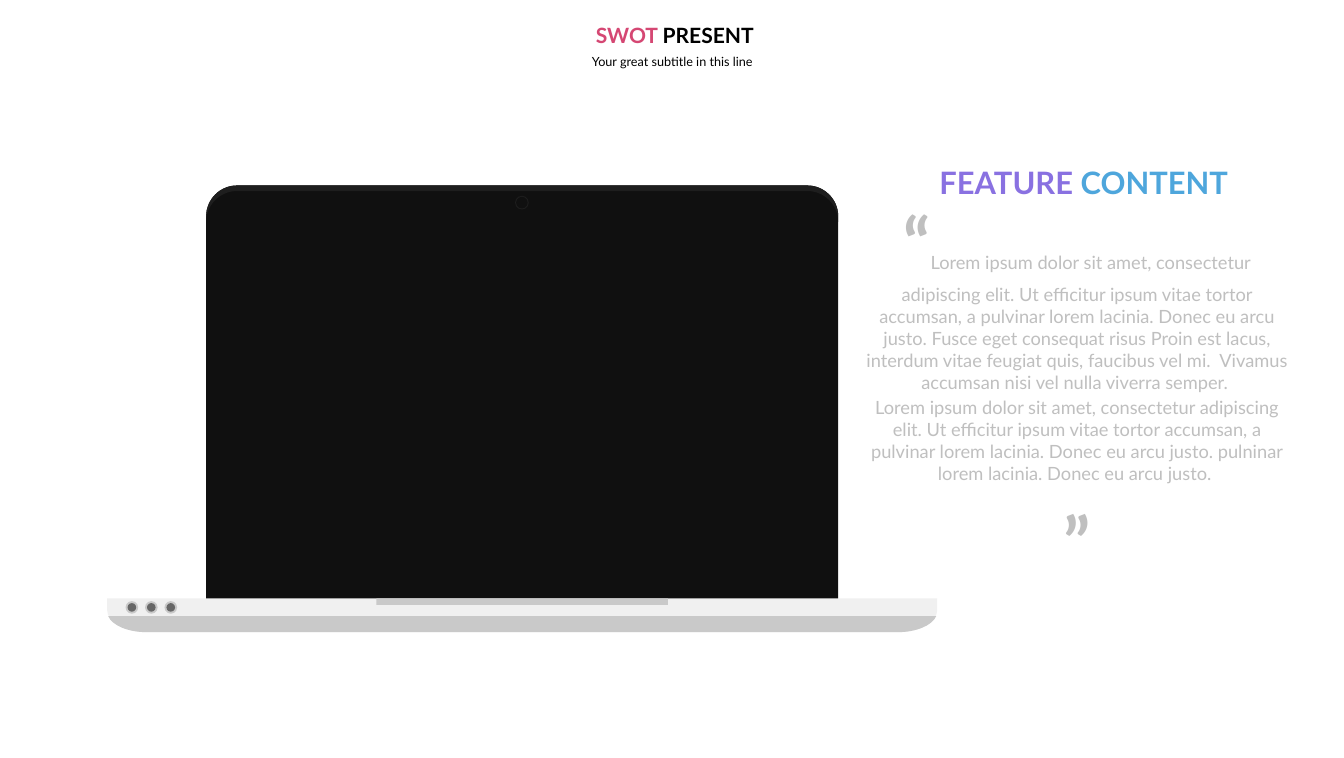
from dataclasses import dataclass

from lxml import etree
from pptx import Presentation
from pptx import util as u
from pptx.dml import color
from pptx.enum import shapes, text
from pptx.oxml import ns

Point = tuple[float, float]
Step = list[Point]


@dataclass(frozen=True)
class Theme:
    font: str = "Lato"
    screen: str = "101010"
    edge: str = "1E1E1E"
    base: str = "F0F0F0"
    shade: str = "C9C9C9"
    button: str = "676767"
    quote: str = "BFBFBF"
    black: str = "000000"
    pink: str = "D54773"
    purple: str = "8971E1"
    blue: str = "4EA6DC"
    mark_size: int = 100
    heading_size: int = 44
    title_size: int = 30
    body_size: int = 26
    subtitle_size: int = 18


@dataclass(frozen=True)
class Span:
    words: str
    size: int
    colour: str
    bold: bool = False


@dataclass(frozen=True)
class TextBlock:
    left: float
    top: float
    width: float
    height: float
    inset_x: float
    inset_y: float
    paras: list[list[Span]]
    before_percent: int = 0
    grows: bool = True


@dataclass(frozen=True)
class Disc:
    x: float
    y: float
    outer: float
    inner: float
    rim: str
    centre: str


THEME = Theme()


def paint(shape, colour: str) -> None:
    shape.shadow.inherit = False
    shape.fill.solid()
    shape.fill.fore_color.rgb = color.RGBColor.from_string(colour)
    shape.line.fill.background()


def add_preset(parent, kind, left: float, top: float, width: float, height: float,
               colour: str) -> None:
    paint(parent.shapes.add_shape(kind, u.Inches(left), u.Inches(top),
                                  u.Inches(width), u.Inches(height)), colour)


def add_outline(parent, start: Point, steps: list[Step], colour: str) -> None:
    points = [(u.Inches(x), u.Inches(y)) for step in steps for x, y in step]
    builder = parent.shapes.build_freeform(u.Inches(start[0]), u.Inches(start[1]))
    builder.add_line_segments(points, close=True)
    shape = builder.convert_to_shape()
    lines = iter(list(shape._element.iter(ns.qn("a:lnTo"))))
    for step in steps:
        segments = [next(lines) for _ in step]
        if len(step) == 3:
            curve = etree.Element(ns.qn("a:cubicBezTo"))
            segments[0].addprevious(curve)
            for segment in segments:
                curve.append(segment[0])
                segment.getparent().remove(segment)
    paint(shape, colour)


def corner(start: Point, tip: Point, end: Point) -> Step:
    def toward_tip(point: Point) -> Point:
        return (point[0] + 0.55 * (tip[0] - point[0]), point[1] + 0.55 * (tip[1] - point[1]))

    return [toward_tip(start), toward_tip(tip and end), end]


def add_disc(parent, disc: Disc) -> None:
    for size, colour in ((disc.outer, disc.rim), (disc.inner, disc.centre)):
        add_preset(parent, shapes.MSO_SHAPE.OVAL, disc.x - size / 2, disc.y - size / 2,
                   size, size, colour)


def add_text(parent, block: TextBlock) -> None:
    box = parent.shapes.add_textbox(u.Inches(block.left), u.Inches(block.top),
                                    u.Inches(block.width), u.Inches(block.height))
    frame = box.text_frame
    frame.word_wrap = True
    fit = text.MSO_AUTO_SIZE
    frame.auto_size = fit.SHAPE_TO_FIT_TEXT if block.grows else fit.NONE
    frame.margin_left = frame.margin_right = u.Inches(block.inset_x)
    frame.margin_top = frame.margin_bottom = u.Inches(block.inset_y)
    for index, spans in enumerate(block.paras):
        para = frame.add_paragraph() if index else frame.paragraphs[0]
        para.alignment = text.PP_ALIGN.CENTER
        if block.before_percent:
            before = etree.SubElement(para._p.get_or_add_pPr(), ns.qn("a:spcBef"))
            etree.SubElement(before, ns.qn("a:spcPct"), val=str(block.before_percent * 1000))
        for span in spans:
            run = para.add_run()
            run.text = span.words
            run.font.name = THEME.font
            run.font.size = u.Pt(span.size)
            run.font.bold = span.bold
            run.font.color.rgb = color.RGBColor.from_string(span.colour)


def draw_screen(laptop) -> None:
    left, right, top, bottom, radius, rim = 4.08, 16.59, 3.67, 12.28, 0.61, 0.11

    def rounded_top(y: float) -> list[Step]:
        return [corner((left, y + radius), (left, y), (left + radius, y)),
                [(right - radius, y)],
                corner((right - radius, y), (right, y), (right, y + radius))]

    def rounded_top_back(y: float) -> list[Step]:
        return [corner((right, y + radius), (right, y), (right - radius, y)),
                [(left + radius, y)],
                corner((left + radius, y), (left, y), (left, y + radius))]

    shoulder = (left, top + radius)
    add_outline(laptop, shoulder, rounded_top(top) + [[(right, bottom)], [(left, bottom)]],
                THEME.screen)
    add_outline(laptop, shoulder, rounded_top(top) + [[(right, top + radius + rim)]]
                + rounded_top_back(top + rim), THEME.edge)


def draw_base(laptop) -> None:
    left, right, top, bend, bottom, reach = 2.12, 18.55, 11.84, 12.07, 12.51, 0.79
    fold, inset = 12.19, 0.02
    add_outline(laptop, (left, top), [
        [(left, bend)],
        corner((left, bend), (left, bottom), (left + reach, bottom)),
        [(right - reach, bottom)],
        corner((right - reach, bottom), (right, bottom), (right, bend)),
        [(right, top)],
    ], THEME.base)
    add_outline(laptop, (left + inset, fold), [
        [(left + 0.1, 12.38), (left + 0.42, bottom), (left + reach, bottom)],
        [(right - reach, bottom)],
        [(right - 0.42, bottom), (right - 0.1, 12.38), (right - inset, fold)],
    ], THEME.shade)


def draw_laptop(page) -> None:
    laptop = page.shapes.add_group_shape()
    draw_screen(laptop)
    draw_base(laptop)
    add_disc(laptop, Disc(10.33, 4.01, 0.27, 0.23, THEME.edge, THEME.screen))
    add_preset(laptop, shapes.MSO_SHAPE.RECTANGLE, 7.45, 11.84, 5.77, 0.13, THEME.shade)
    for index in range(3):
        add_disc(laptop, Disc(2.61 + 0.385 * index, 12.02, 0.25, 0.17,
                              THEME.shade, THEME.button))


def draw_feature(page) -> None:
    opening = "Lorem ipsum dolor sit amet, consectetur adipiscing elit. Ut efficitur ipsum vitae tortor accumsan, a pulvinar lorem lacinia. Donec eu arcu justo. "
    first = opening + "Fusce eget consequat risus Proin est lacus, interdum vitae feugiat quis, faucibus vel mi.  Vivamus accumsan nisi vel nulla viverra semper. "
    second = opening + "pulninar lorem lacinia. Donec eu arcu justo. "
    add_text(page, TextBlock(16.81, 3.81, 9.02, 7.33, 0.27, 0.13, [
        [Span("“", THEME.mark_size, THEME.quote, True),
         Span(first, THEME.body_size, THEME.quote)],
        [Span(second, THEME.body_size, THEME.quote)],
        [Span("”", THEME.mark_size, THEME.quote, True)],
    ], before_percent=20, grows=False))
    add_text(page, TextBlock(18.05, 3.19, 6.8, 0.84, 0.1, 0.05, [
        [Span("FEATURE ", THEME.heading_size, THEME.purple, True),
         Span("CONTENT", THEME.heading_size, THEME.blue, True)],
    ]))


def draw_header(page) -> None:
    header = page.shapes.add_group_shape()
    add_text(header, TextBlock(9.22, 0.95, 8.17, 0.55, 0.24, 0.12, [
        [Span("Your great subtitle in this line", THEME.subtitle_size, THEME.black)],
    ]))
    add_text(header, TextBlock(8.3, 0.34, 10.11, 0.71, 0.2, 0.1, [
        [Span("SWOT ", THEME.title_size, THEME.pink, True),
         Span("PRESENT", THEME.title_size, THEME.black, True)],
    ]))


def main() -> None:
    deck = Presentation()
    deck.slide_width, deck.slide_height = u.Inches(26.6), u.Inches(15)
    page = deck.slides.add_slide(deck.slide_layouts[6])
    for draw in (draw_laptop, draw_feature, draw_header):
        draw(page)
    deck.save("out.pptx")


if __name__ == "__main__":
    main()
